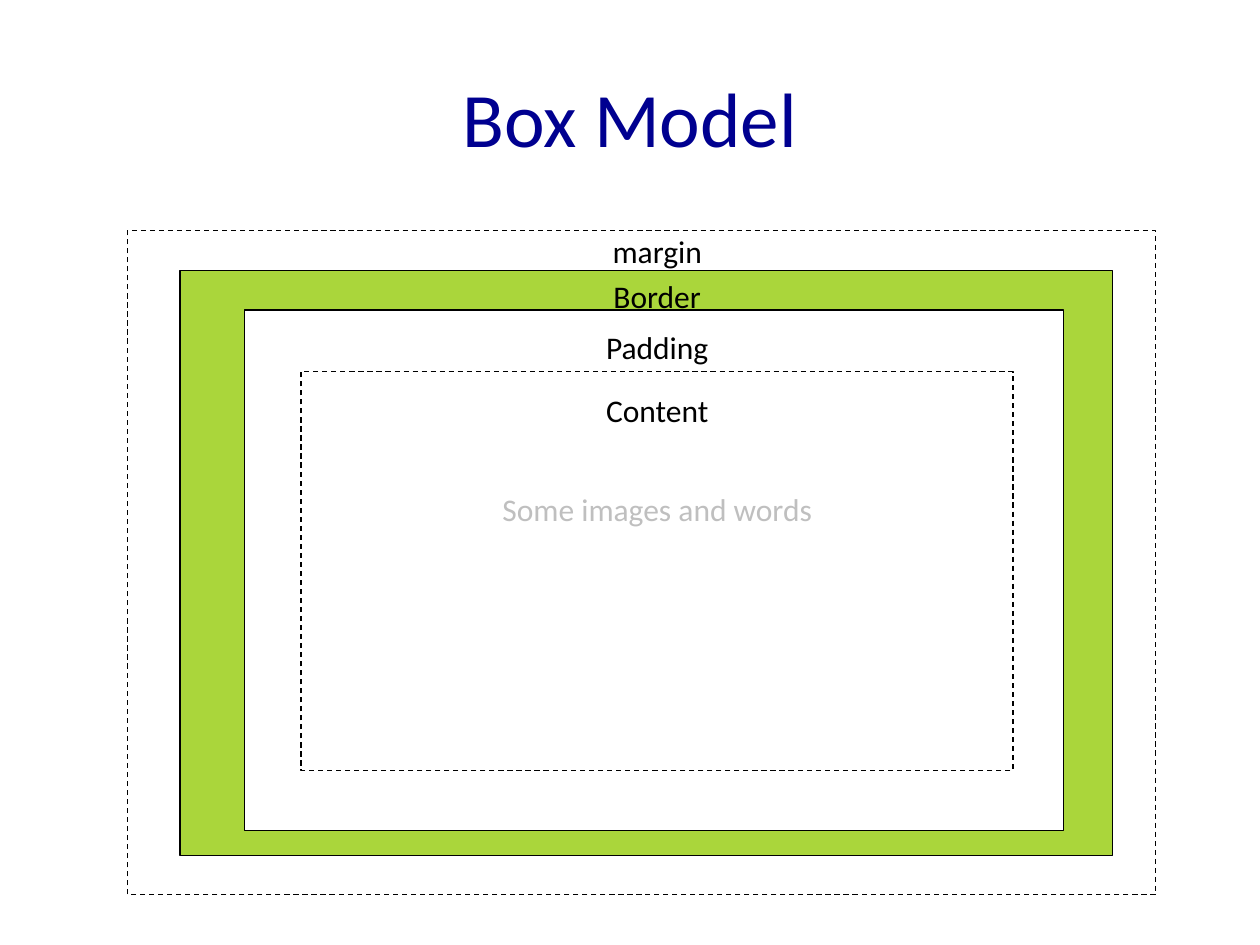
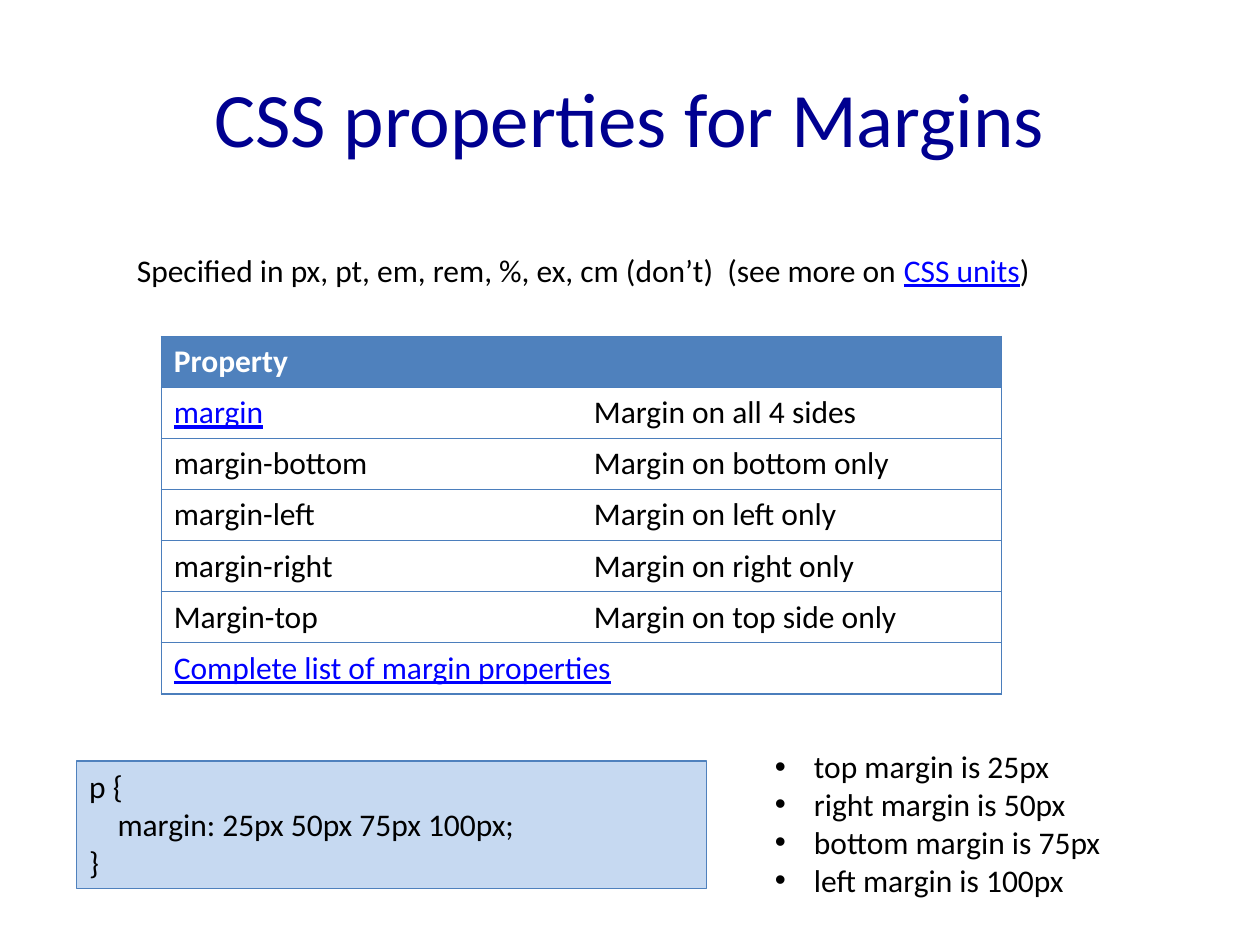
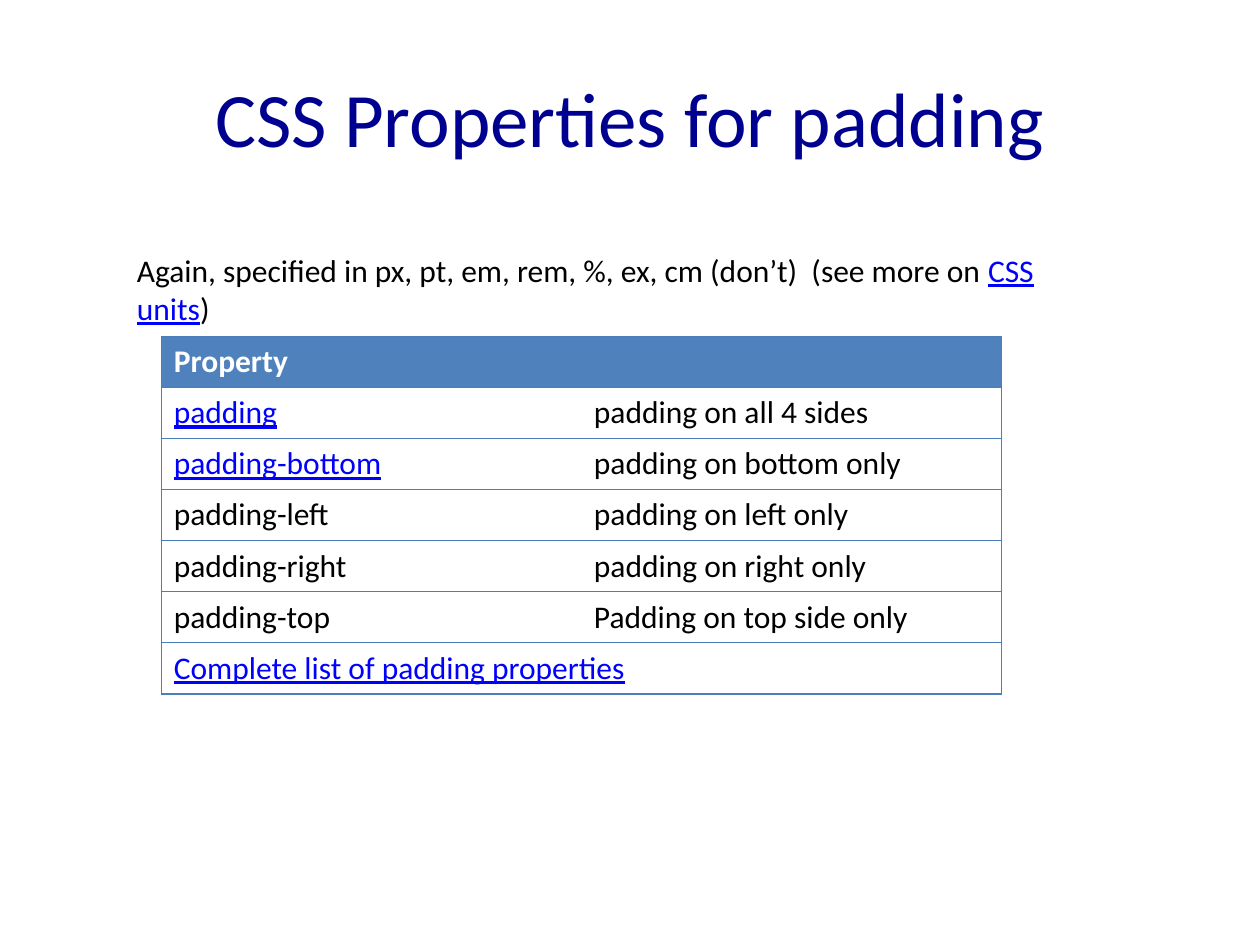
from lxml import etree
from pptx import Presentation
from pptx.dml.color import RGBColor
from pptx.enum.dml import MSO_LINE_DASH_STYLE as Dash
from pptx.enum.shapes import MSO_SHAPE as Shape
from pptx.enum.text import MSO_ANCHOR as Anchor, PP_ALIGN as Align
from pptx.oxml.ns import qn
from pptx.util import Cm, Pt

FONT = "Calibri"
NAVY = RGBColor(0x00, 0x00, 0x90)
BLACK = RGBColor(0x00, 0x00, 0x00)
WHITE = RGBColor(0xFF, 0xFF, 0xFF)
GREY = RGBColor(0xBF, 0xBF, 0xBF)
LIME = RGBColor(0xAA, 0xD6, 0x3B)
LINK_BLUE = RGBColor(0x00, 0x00, 0xFF)
HEADER_BLUE = RGBColor(0x4F, 0x81, 0xBD)
GRID_BLUE = RGBColor(0x4B, 0x7E, 0xBC)
CODE_BLUE = RGBColor(0xC6, 0xD9, 0xF1)
LINE_WIDTH = Pt(0.75)
CSS_UNITS = [("CSS units", True), (")", False)]


def add_run(para, text, color=BLACK, size=18, bold=False, underline=False):
    span = para.add_run()
    span.text = text
    font = span.font
    font.name = FONT
    font.size = Pt(size)
    font.color.rgb = color
    font.bold = bold
    font.underline = underline


def add_linked_run(para, text, linked):
    add_run(para, text, LINK_BLUE if linked else BLACK, underline=linked)


def add_text_box(page, left, top, width, height):
    box = page.shapes.add_textbox(Cm(left), Cm(top), Cm(width), Cm(height))
    box.text_frame.word_wrap = True
    return box.text_frame


def add_lines(frame, lines):
    for index, line in enumerate(lines):
        para = frame.add_paragraph() if index else frame.paragraphs[0]
        add_run(para, line)
    return frame.paragraphs


def add_page(deck, title):
    page = deck.slides.add_slide(deck.slide_layouts[6])
    frame = add_text_box(page, 1.27, 0.76, 22.86, 3.18)
    frame.vertical_anchor = Anchor.MIDDLE
    para = frame.paragraphs[0]
    para.alignment = Align.CENTER
    add_run(para, title, NAVY, 44)
    return page


def add_rectangle(page, left, top, width, height, fill=None, line=BLACK, dashed=False):
    box = page.shapes.add_shape(Shape.RECTANGLE, Cm(left), Cm(top), Cm(width), Cm(height))
    box.shadow.inherit = False
    if fill is None:
        box.fill.background()
    else:
        box.fill.solid()
        box.fill.fore_color.rgb = fill
    box.line.color.rgb = line
    box.line.width = LINE_WIDTH
    if dashed:
        box.line.dash_style = Dash.DASH
    return box


def add_box_model(page, left, top):
    layers = [
        (0, 0, 20.73, 13.39, None, True),
        (1.06, 0.81, 18.8, 11.79, LIME, False),
        (2.36, 1.6, 16.51, 10.49, WHITE, False),
        (3.5, 2.84, 14.35, 8.05, None, True),
    ]
    for x, y, width, height, fill, dashed in layers:
        add_rectangle(page, left + x, top + y, width, height, fill, dashed=dashed)
    labels = [
        ("margin", -0.1, BLACK),
        ("Border", 0.81, BLACK),
        ("Padding", 1.83, BLACK),
        ("Content", 3.1, BLACK),
        ("Some images and words", 5.1, GREY),
    ]
    for text, y, color in labels:
        para = add_text_box(page, left + 5.65, top + y, 10.06, 1.02).paragraphs[0]
        para.alignment = Align.CENTER
        add_run(para, text, color)


def set_borders(cell, colors):
    properties = cell._tc.get_or_add_tcPr()
    for index, (side, color) in enumerate(colors.items()):
        line = etree.Element(qn(f"a:ln{side}"), w=str(LINE_WIDTH))
        if color is None:
            etree.SubElement(line, qn("a:noFill"))
        else:
            paint = etree.SubElement(line, qn("a:solidFill"))
            etree.SubElement(paint, qn("a:srgbClr"), val=str(color))
        properties.insert(index, line)


def add_property_table(page, left, top, rows, footer):
    row_height = 1.03
    count = len(rows) + 2
    table = page.shapes.add_table(
        count, 2, Cm(left), Cm(top), Cm(16.94), Cm(row_height * count)
    ).table
    table.horz_banding = False
    for row in table.rows:
        row.height = Cm(row_height)
    add_run(table.cell(0, 0).text_frame.paragraphs[0], "Property", WHITE, bold=True)
    for number, (name, meaning, linked) in enumerate(rows, 1):
        add_linked_run(table.cell(number, 0).text_frame.paragraphs[0], name, linked)
        add_run(table.cell(number, 1).text_frame.paragraphs[0], meaning)
    last = count - 1
    add_linked_run(table.cell(last, 0).text_frame.paragraphs[0], footer, True)
    table.cell(last, 0).merge(table.cell(last, 1))
    for number in range(count):
        for column in range(2):
            cell = table.cell(number, column)
            if number:
                cell.fill.background()
            else:
                cell.fill.solid()
                cell.fill.fore_color.rgb = HEADER_BLUE
            merged = number == last
            set_borders(cell, {
                "L": GRID_BLUE if column == 0 else None,
                "R": GRID_BLUE if column == 1 or merged else None,
                "T": GRID_BLUE,
                "B": GRID_BLUE,
            })


def add_property_page(deck, title, intro, rows, footer):
    page = add_page(deck, title)
    para = add_text_box(page, 2.51, 4.93, 19.79, 1.02).paragraphs[0]
    for text, linked in [(intro, False)] + CSS_UNITS:
        add_linked_run(para, text, linked)
    add_property_table(page, 3.25, 6.78, rows, footer)
    return page


def add_code_box(page, left, top):
    box = add_rectangle(page, left, top, 12.7, 2.57, CODE_BLUE, HEADER_BLUE)
    frame = box.text_frame
    frame.vertical_anchor = Anchor.TOP
    paras = add_lines(frame, ["p {", "margin: 25px 50px 75px 100px;", "}"])
    for para in paras:
        para.alignment = Align.LEFT
    paras[1]._p.get_or_add_pPr().set("marL", str(Cm(0.57)))


def add_bullets(page, left, top, lines):
    frame = add_text_box(page, left, top, 9.7, 3.33)
    for para in add_lines(frame, lines):
        properties = para._p.get_or_add_pPr()
        properties.set("marL", str(Cm(0.79)))
        properties.set("indent", str(Cm(-0.79)))
        etree.SubElement(properties, qn("a:buFont"), typeface="Arial")
        etree.SubElement(properties, qn("a:buChar"), char="•")


def main():
    deck = Presentation()
    deck.slide_width = Cm(25.4)
    deck.slide_height = Cm(19.05)

    add_box_model(add_page(deck, "Box Model"), 2.57, 4.65)

    margins = add_property_page(
        deck,
        "CSS properties for Margins",
        "Specified in px, pt, em, rem, %, ex, cm (don’t)  (see more on ",
        [
            ("margin", "Margin on all 4 sides", True),
            ("margin-bottom", "Margin on bottom only", False),
            ("margin-left", "Margin on left only", False),
            ("margin-right", "Margin on right only", False),
            ("Margin-top", "Margin on top side only", False),
        ],
        "Complete list of margin properties",
    )
    add_code_box(margins, 1.55, 15.34)
    sides = {"top": 25, "right": 50, "bottom": 75, "left": 100}
    add_bullets(margins, 15.37, 14.94,
                [f"{side} margin is {size}px" for side, size in sides.items()])

    add_property_page(
        deck,
        "CSS Properties for padding",
        "Again, specified in px, pt, em, rem, %, ex, cm (don’t)  (see more on ",
        [
            ("padding", "padding on all 4 sides", True),
            ("padding-bottom", "padding on bottom only", True),
            ("padding-left", "padding on left only", False),
            ("padding-right", "padding on right only", False),
            ("padding-top", "Padding on top side only", False),
        ],
        "Complete list of padding properties",
    )
    deck.save("out.pptx")


if __name__ == "__main__":
    main()
